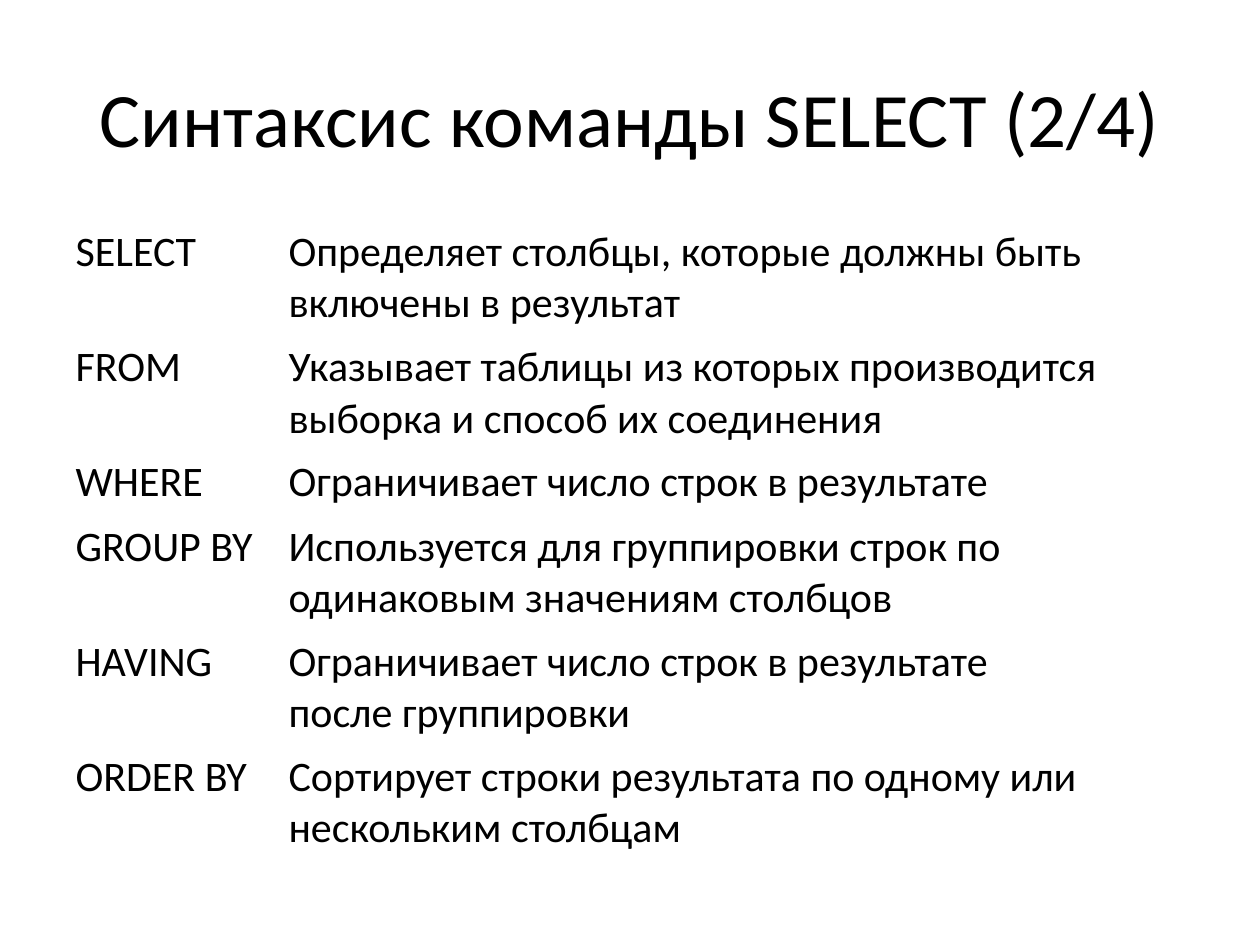
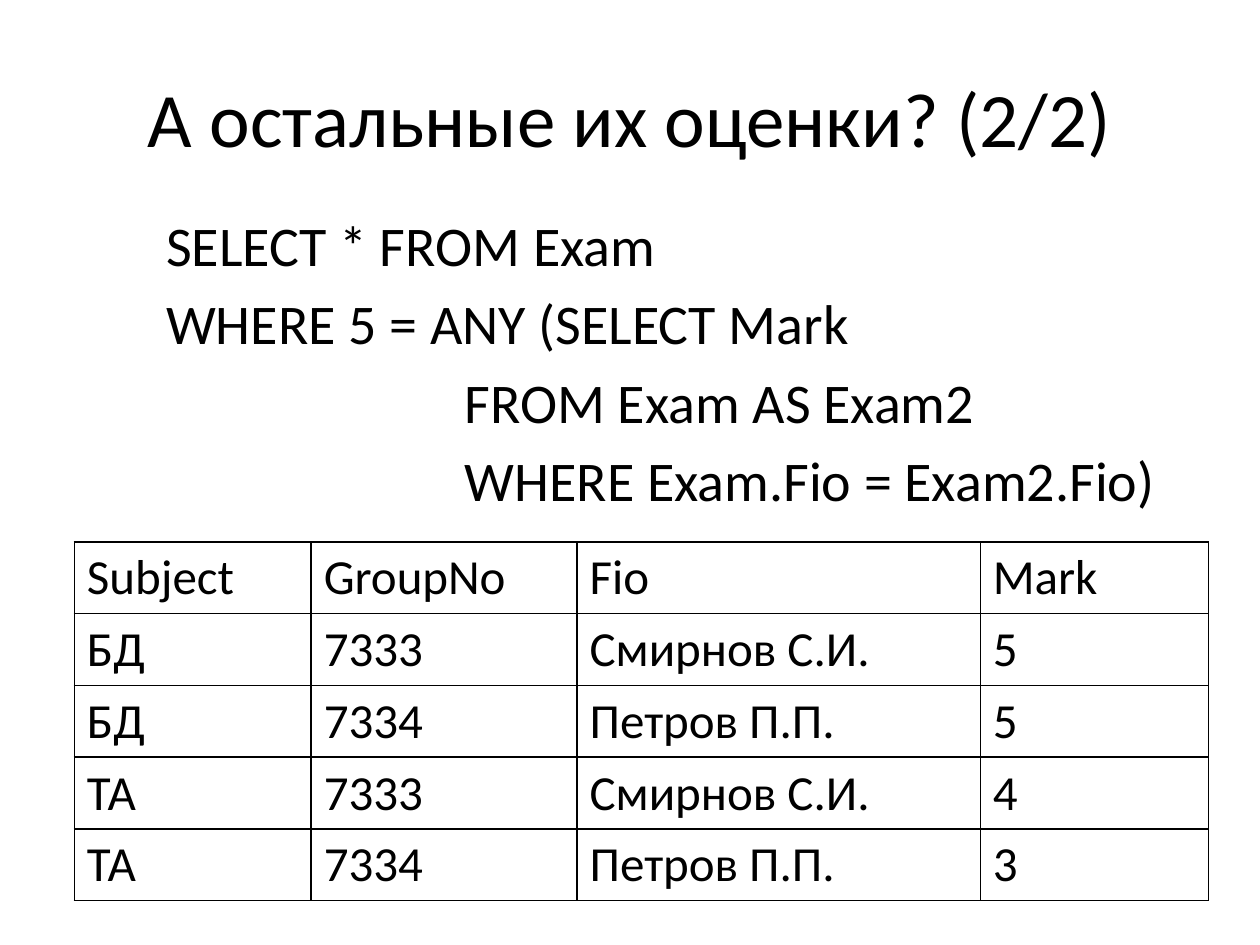
from lxml.etree import SubElement
from pptx import Presentation
from pptx.dml.color import RGBColor
from pptx.enum.text import MSO_ANCHOR as Anchor, PP_ALIGN as Align
from pptx.oxml.ns import qn
from pptx.util import Pt

PX = 9144
BLACK = RGBColor(0, 0, 0)
WHITE = RGBColor(255, 255, 255)
FONT = "Calibri"
TITLE_BOX = (50, 30, 900, 125)
TITLES = ["Синтаксис команды SELECT (2/4)", "А остальные их оценки? (2/2)"]

CLAUSES = [
    ("SELECT", "Определяет столбцы, которые должны быть включены в результат"),
    ("FROM", "Указывает таблицы из которых производится выборка и способ их соединения"),
    ("WHERE", "Ограничивает число строк в результате"),
    ("GROUP BY", "Используется для группировки строк по одинаковым значениям столбцов"),
    ("HAVING", "Ограничивает число строк в результате\nпосле группировки"),
    ("ORDER BY", "Сортирует строки результата по одному или нескольким столбцам"),
]
QUERY = [
    ("SELECT * FROM Exam", 0),
    ("WHERE 5 = ANY (SELECT Mark", 0),
    ("FROM Exam AS Exam2", 237),
    ("WHERE Exam.Fio = Exam2.Fio)", 237),
]
EXAMS = [
    ("Subject", "GroupNo", "Fio", "Mark"),
    ("БД", "7333", "Смирнов С.И.", "5"),
    ("БД", "7334", "Петров П.П.", "5"),
    ("ТА", "7333", "Смирнов С.И.", "4"),
    ("ТА", "7334", "Петров П.П.", "3"),
]


def add_text(paragraph, text, size):
    run = paragraph.add_run()
    run.text = text
    run.font.name = FONT
    run.font.size = Pt(size)
    run.font.color.rgb = BLACK


def add_grid(slide, left, top, widths, heights, rows, size, bordered):
    frame = slide.shapes.add_table(len(rows), len(widths), left * PX, top * PX,
                                   sum(widths) * PX, sum(heights) * PX)
    table = frame.table
    table.first_row = False
    table.horz_banding = False
    for column, width in zip(table.columns, widths):
        column.width = width * PX
    for row, height, texts in zip(table.rows, heights, rows):
        row.height = height * PX
        for cell, text in zip(row.cells, texts):
            if bordered:
                properties = cell._tc.get_or_add_tcPr()
                for side in ("L", "R", "T", "B"):
                    border = SubElement(properties, qn(f"a:ln{side}"), w=str(Pt(1)))
                    fill = SubElement(border, qn("a:solidFill"))
                    SubElement(fill, qn("a:srgbClr"), val=str(BLACK))
            cell.fill.background()
            for index, line in enumerate(text.split("\n")):
                text_frame = cell.text_frame
                paragraph = text_frame.add_paragraph() if index else text_frame.paragraphs[0]
                add_text(paragraph, line, size)


presentation = Presentation()
presentation.slide_width = 1000 * PX
presentation.slide_height = 750 * PX
title_only = presentation.slide_layouts[5]

slides = []
for title_text in TITLES:
    slide = presentation.slides.add_slide(title_only)
    slide.background.fill.solid()
    slide.background.fill.fore_color.rgb = WHITE
    title = slide.shapes.title
    title.left, title.top, title.width, title.height = [value * PX for value in TITLE_BOX]
    title.text_frame.vertical_anchor = Anchor.MIDDLE
    paragraph = title.text_frame.paragraphs[0]
    paragraph.alignment = Align.CENTER
    add_text(paragraph, title_text, 44)
    slides.append(slide)
syntax_slide, marks_slide = slides

clause_heights = [51 if name == "WHERE" else 91 for name, meaning in CLAUSES]
add_grid(syntax_slide, 50, 175, [169, 731], clause_heights, CLAUSES, 24, False)

query_box = marks_slide.shapes.add_textbox(122 * PX, 162 * PX, 833 * PX, 276 * PX)
query_frame = query_box.text_frame
query_frame.word_wrap = True
for index, (line, indent) in enumerate(QUERY):
    paragraph = query_frame.add_paragraph() if index else query_frame.paragraphs[0]
    paragraph._p.get_or_add_pPr().set("marL", str(indent * PX))
    if index:
        paragraph.space_before = Pt(6.4)
    add_text(paragraph, line, 32)

add_grid(marks_slide, 59, 430, [188, 211, 320, 181], [57] * len(EXAMS), EXAMS, 28, True)

presentation.save("out.pptx")
